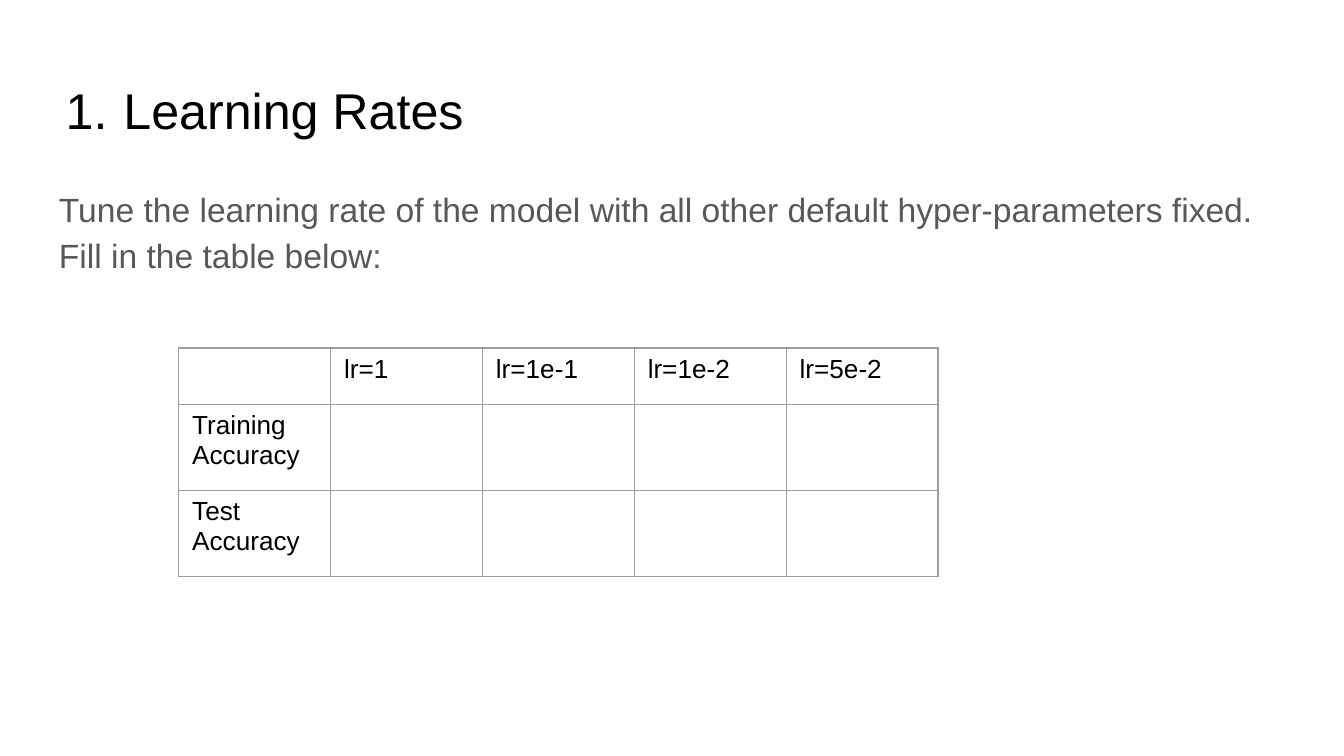
from lxml.etree import SubElement
from pptx import Presentation
from pptx.dml.color import RGBColor
from pptx.oxml.ns import qn
from pptx.util import Inches, Pt


def rgb(value):
    return RGBColor.from_string(value)


def write(tf, text, size=14, color="000000", spacing=None):
    p = tf.paragraphs[0]
    p.line_spacing = spacing
    r = p.add_run()
    r.text = text
    r.font.name = "Arial"
    r.font.size = Pt(size)
    r.font.color.rgb = rgb(color)
    return p


prs = Presentation()
prs.slide_width = Inches(10)
prs.slide_height = prs.slide_width * 9 // 16
s = prs.slides.add_slide(prs.slide_layouts[6])
s.background.fill.solid()
s.background.fill.fore_color.rgb = rgb("FFFFFF")

frames = []
for top, height in [(0.49, 0.63), (1.26, 3.74)]:
    sp = s.shapes.add_textbox(Inches(0.34), Inches(top), Inches(9.32), Inches(height))
    tf = sp.text_frame
    tf.word_wrap = True
    tf.margin_left = tf.margin_right = tf.margin_top = tf.margin_bottom = Inches(0.1)
    frames.append(tf)
title, body = frames

p = write(title, "Learning Rates", size=26.9)
pPr = p._p.get_or_add_pPr()
pPr.set("marL", str(Inches(0.48)))
pPr.set("indent", str(Inches(-0.43)))
color = SubElement(pPr, qn("a:buClr"))
SubElement(color, qn("a:srgbClr"), val="000000")
SubElement(pPr, qn("a:buFont"), typeface="Arial")
SubElement(pPr, qn("a:buAutoNum"), type="arabicPeriod")

write(
    body,
    "Tune the learning rate of the model with all other default "
    "hyper-parameters fixed. Fill in the table below:",
    size=18,
    color="585858",
    spacing=1.15,
)

rows = [
    ["", "lr=1", "lr=1e-1", "lr=1e-2", "lr=5e-2"],
    ["Training Accuracy", "", "", "", ""],
    ["Test Accuracy", "", "", "", ""],
]
heights = [0.42, 0.64, 0.64]
table = s.shapes.add_table(
    3, 5, Inches(1.33), Inches(2.59), Inches(5 * 1.13), Inches(sum(heights))
).table
table.first_row = table.horz_banding = False
for column in table.columns:
    column.width = Inches(1.13)
for row, height, texts in zip(table.rows, heights, rows):
    row.height = Inches(height)
    for cell, text in zip(row.cells, texts):
        if text:
            write(cell.text_frame, text)
        tcPr = cell._tc.get_or_add_tcPr()
        for side in ("L", "R", "T", "B"):
            ln = SubElement(tcPr, qn(f"a:ln{side}"), w=str(Pt(0.75)))
            fill = SubElement(ln, qn("a:solidFill"))
            SubElement(fill, qn("a:srgbClr"), val="9E9E9E")
        cell.fill.background()

prs.save("out.pptx")
